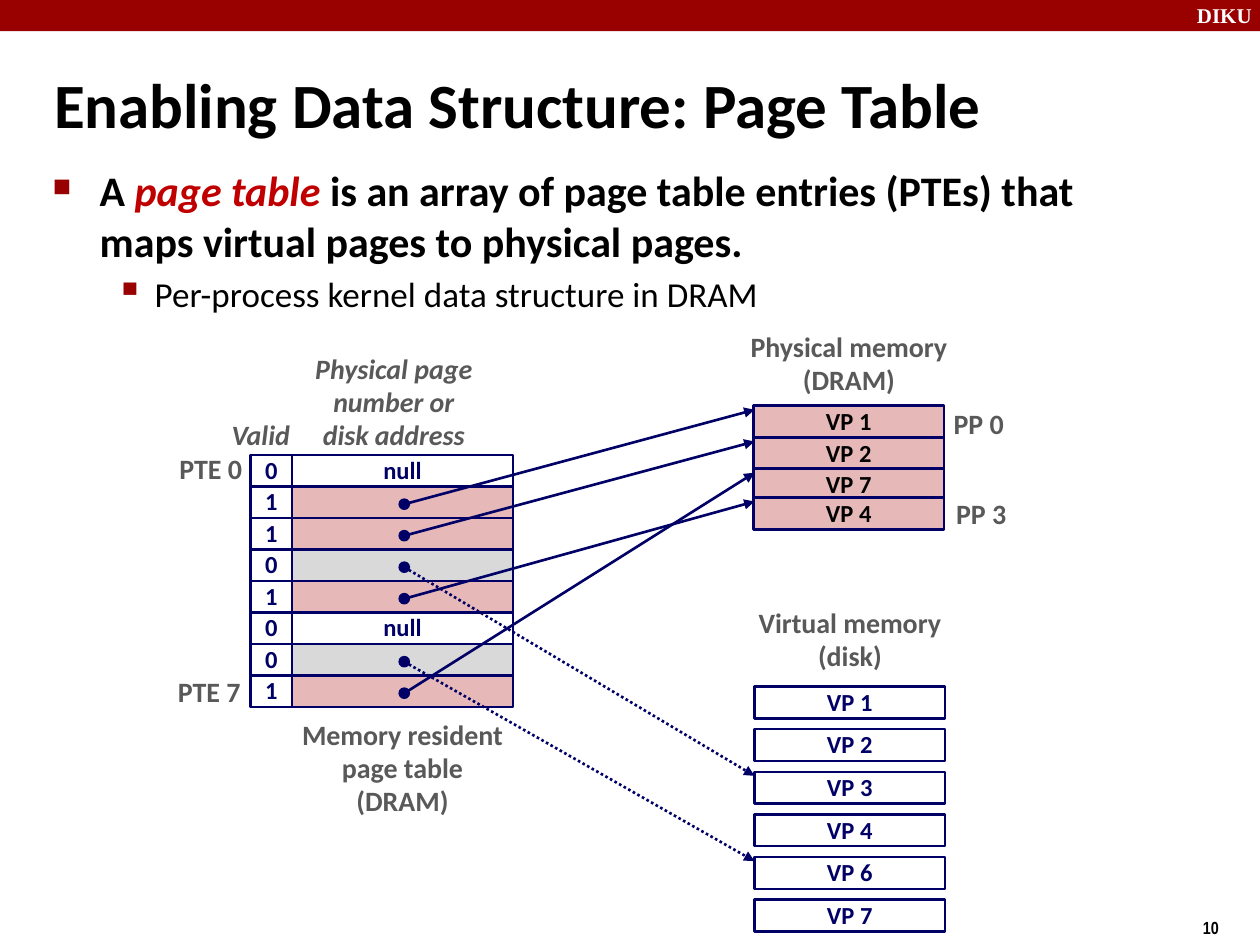
from lxml.etree import SubElement
from pptx import Presentation
from pptx.dml.color import RGBColor
from pptx.enum.dml import MSO_LINE
from pptx.enum.shapes import MSO_CONNECTOR, MSO_SHAPE
from pptx.enum.text import MSO_ANCHOR as Anchor, PP_ALIGN as Align
from pptx.oxml.ns import qn
from pptx.util import Cm, Pt

NAVY, RED, PINK, SILVER = "000066", "990000", "E6B9B8", "D9D9D9"
WHITE, BLACK, GRAY = "FFFFFF", "000000", "595959"


def rgb(color):
    return RGBColor.from_string(color)


class Diagram:
    def __init__(self, slide, font="Calibri"):
        self.shapes = slide.shapes
        self.font = font

    def style_run(self, run, size, color, bold=True, italic=False, font=None):
        run.font.name = font or self.font
        run.font.size = Pt(size)
        run.font.bold = bold
        run.font.italic = italic
        run.font.color.rgb = rgb(color)

    def fill_text(self, frame, text, align, anchor, spacing=0.98, **style):
        frame.text = text
        frame.word_wrap = align == Align.LEFT
        frame.vertical_anchor = anchor
        for paragraph in frame.paragraphs:
            paragraph.alignment = align
            paragraph.line_spacing = spacing
            for run in paragraph.runs:
                self.style_run(run, **style)

    def label(self, text, left, top, width, height, align=Align.CENTER,
              anchor=Anchor.TOP, size=16, color=GRAY, **style):
        box = self.shapes.add_textbox(Cm(left), Cm(top), Cm(width), Cm(height))
        self.fill_text(box.text_frame, text, align, anchor,
                       size=size, color=color, **style)

    def block(self, left, top, width, height, fill, text="", color=NAVY,
              line=1.5, kind=MSO_SHAPE.RECTANGLE):
        shape = self.shapes.add_shape(kind, Cm(left), Cm(top), Cm(width), Cm(height))
        shape.shadow.inherit = False
        shape.fill.solid()
        shape.fill.fore_color.rgb = rgb(fill)
        if line:
            shape.line.color.rgb = rgb(NAVY)
            shape.line.width = Pt(line)
        else:
            shape.line.fill.background()
        if text:
            self.fill_text(shape.text_frame, text, Align.CENTER, Anchor.MIDDLE,
                           size=14, color=color)

    def dot(self, x, y, size=0.2):
        self.block(x - size / 2, y - size / 2, size, size, NAVY,
                   line=1, kind=MSO_SHAPE.OVAL)

    def arrow(self, x1, y1, x2, y2, dotted=False):
        arrow = self.shapes.add_connector(
            MSO_CONNECTOR.STRAIGHT, Cm(x1), Cm(y1), Cm(x2), Cm(y2))
        arrow.line.color.rgb = rgb(NAVY)
        arrow.line.width = Pt(1.5)
        if dotted:
            arrow.line.dash_style = MSO_LINE.ROUND_DOT
        SubElement(arrow.line._get_or_add_ln(), qn("a:tailEnd"), type="triangle")
        SubElement(arrow._element.spPr, qn("a:effectLst"))

    def bullet(self, paragraph, parts, char, percent, margin, hanging, before, size):
        """Fill a bulleted paragraph from (text, style) parts."""
        for text, style in parts:
            run = paragraph.add_run()
            run.text = text
            self.style_run(run, size, **style)
        paragraph.space_before = Pt(before)
        props = paragraph._p.get_or_add_pPr()
        props.set("marL", str(Cm(margin)))
        props.set("indent", str(-Cm(hanging)))
        bullet_color = SubElement(props, qn("a:buClr"))
        SubElement(bullet_color, qn("a:srgbClr"), val=RED)
        SubElement(props, qn("a:buSzPct"), val=str(percent * 1000))
        SubElement(props, qn("a:buChar"), char=char)

    def body(self, left, top, width, height):
        box = self.shapes.add_textbox(Cm(left), Cm(top), Cm(width), Cm(height))
        frame = box.text_frame
        frame.word_wrap = True
        plain = {"color": BLACK}
        self.bullet(frame.paragraphs[0], [
            ("A ", plain),
            ("page table ", {"color": "C00000", "italic": True}),
            ("is an array of page table entries (PTEs) that maps virtual "
             "pages to physical pages.", plain),
        ], "■", 60, 0.95, 0.95, 4.8, 24)
        detail = frame.add_paragraph()
        detail.level = 1
        self.bullet(detail, [
            ("Per-process kernel data structure in DRAM",
             {"color": BLACK, "bold": False}),
        ], "▪", 110, 2.06, 0.79, 4, 20)


def add_heading(diagram):
    diagram.block(0, 0, 25.4, 0.63, RED, line=None)
    diagram.label("DIKU", 23.88, -0.08, 1.7, 0.76, Align.LEFT, size=12,
                  color=WHITE, font="Times New Roman", spacing=1)
    diagram.label("10", 24, 18.36, 1.91, 0.74, Align.LEFT, size=10,
                  color=BLACK, font="Arial Narrow", spacing=1)
    diagram.label("Enabling Data Structure: Page Table", 0.84, 0.99, 23.01, 2.18,
                  Align.LEFT, Anchor.MIDDLE, size=36, color=BLACK, spacing=1)
    diagram.body(0.81, 3.2, 23.06, 3.58)


def add_memory_map(diagram):
    cell_height = 0.64
    memory_width = 3.84
    dram_left, disk_left = 15.19, 15.21
    dram_tops = {"VP 1": 8.18, "VP 2": 8.82, "VP 7": 9.45, "VP 4": 10.03}
    disk_pages = ["VP 1", "VP 2", "VP 3", "VP 4", "VP 6", "VP 7"]
    disk_tops = {page: 13.84 + 0.86 * i for i, page in enumerate(disk_pages)}

    for page, top in dram_tops.items():
        diagram.block(dram_left, top, memory_width, cell_height, PINK, page, BLACK)
    for page, top in disk_tops.items():
        diagram.block(disk_left, top, memory_width, cell_height, WHITE, page)

    # Each entry: valid bit and the page it refers to
    entries = [(0, None), (1, "VP 1"), (1, "VP 2"), (0, "VP 3"),
               (1, "VP 4"), (0, None), (0, "VP 6"), (1, "VP 7")]
    valid_left, valid_width, address_width = 5.05, 0.84, 4.45
    address_left = valid_left + valid_width
    row_tops = [9.17 + 5.08 / len(entries) * i for i in range(len(entries))]
    for top, (valid, page) in zip(row_tops, entries):
        fill = PINK if valid else SILVER if page else WHITE
        diagram.block(address_left, top, address_width, cell_height, fill,
                      "" if page else "null")
        diagram.block(valid_left, top, valid_width, cell_height, WHITE, str(valid))

    pointer_x = 8.15
    for top, (valid, page) in zip(row_tops, entries):
        if page:
            pointer_y = top + cell_height / 2 + 0.04
            target = dram_tops[page] if valid else disk_tops[page]
            diagram.dot(pointer_x, pointer_y)
            diagram.arrow(pointer_x, pointer_y, disk_left, target + 0.08,
                          dotted=not valid)


def add_captions(diagram):
    diagram.label("Memory resident\npage table\n(DRAM)", 5.84, 14.38, 4.55, 2.26)
    diagram.label("Physical memory\n(DRAM)", 14.88, 6.55, 4.47, 1.6)
    diagram.label("Virtual memory\n(disk)", 15.04, 12.12, 4.19, 1.6)
    diagram.label("Valid", 4.42, 8.33, 1.9, 0.94, Align.LEFT, italic=True)
    diagram.label("Physical page\nnumber or\ndisk address", 6.1, 6.99, 3.68, 2.26,
                  anchor=Anchor.MIDDLE, italic=True)
    for name, left, top, width, align in [
        ("PTE 0", 3.13, 8.99, 2, Align.RIGHT),
        ("PTE 7", 3.1, 13.49, 2, Align.RIGHT),
        ("PP 0", 18.92, 8.08, 1.62, Align.CENTER),
        ("PP 3", 18.97, 9.91, 1.62, Align.CENTER),
    ]:
        diagram.label(name, left, top, width, 0.94, align, Anchor.MIDDLE)


def main():
    deck = Presentation()
    deck.slide_width, deck.slide_height = Cm(25.4), Cm(19.05)
    diagram = Diagram(deck.slides.add_slide(deck.slide_layouts[6]))
    add_heading(diagram)
    add_memory_map(diagram)
    add_captions(diagram)
    deck.save("out.pptx")


if __name__ == "__main__":
    main()
